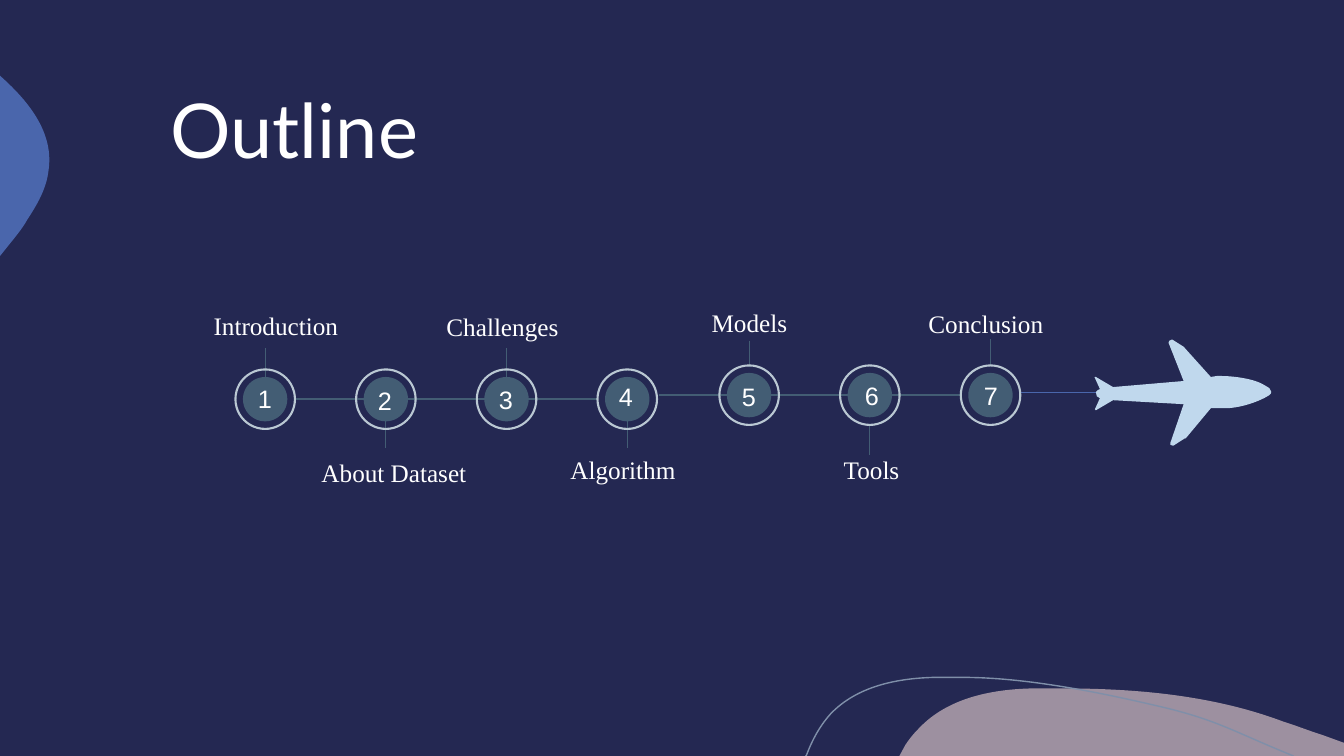
from lxml.etree import SubElement
from pptx import Presentation
from pptx.dml.color import RGBColor
from pptx.enum.shapes import MSO_CONNECTOR as CONNECTOR, MSO_SHAPE as SHAPE
from pptx.enum.text import MSO_ANCHOR as ANCHOR, PP_ALIGN as ALIGN
from pptx.oxml.ns import qn
from pptx.util import Inches, Pt

NAVY = RGBColor(0x24, 0x28, 0x52)
MAUVE = RGBColor(0x9D, 0x90, 0xA0)
BLUE = RGBColor(0x4A, 0x66, 0xAC)
GREY_BLUE = RGBColor(0x7F, 0x8F, 0xA9)
SLATE = RGBColor(0x43, 0x5D, 0x74)
SILVER = RGBColor(0xBA, 0xC8, 0xD3)
SKY = RGBColor(0xC0, 0xD8, 0xED)
WHITE = RGBColor(0xFF, 0xFF, 0xFF)

RING_SIZE, DISC_SIZE, STOP_GAP = 0.59, 0.44, 1.197

prs = Presentation()
prs.slide_width, prs.slide_height = Inches(13.33), Inches(7.5)
slide = prs.slides.add_slide(prs.slide_layouts[6])
slide.background.fill.solid()
slide.background.fill.fore_color.rgb = NAVY
shapes = slide.shapes


def trace(steps, fill=None):
    """Build an outline; a step of 2 numbers is a line end, one of 6 a cubic curve."""
    start, *rest = steps
    builder = shapes.build_freeform(Inches(start[0]), Inches(start[1]))
    builder.add_line_segments([(Inches(step[-2]), Inches(step[-1])) for step in rest],
                              close=fill is not None)
    outline = builder.convert_to_shape()
    outline.shadow.inherit = False
    segments = list(outline._element.iter(qn("a:lnTo")))
    for step, segment in zip(rest, segments):
        if len(step) == 6:
            segment.tag = qn("a:cubicBezTo")
            for i in (0, 2):
                control = SubElement(segment, qn("a:pt"))
                control.set("x", str(Inches(step[i]) - outline.left))
                control.set("y", str(Inches(step[i + 1]) - outline.top))
            segment.append(segment[0])  # the end point follows its two controls
    if fill is None:
        outline.fill.background()
    else:
        outline.fill.solid()
        outline.fill.fore_color.rgb = fill
        outline.line.fill.background()
    return outline


def add_text(text, left, top, width, height, **font_values):
    box = shapes.add_textbox(Inches(left), Inches(top), Inches(width), Inches(height))
    box.text_frame.word_wrap = True
    run = box.text_frame.paragraphs[0].add_run()
    run.text = text
    run.font.color.rgb = WHITE
    for key, value in font_values.items():
        setattr(run.font, key, value)
    return box.text_frame


# Background waves
hill = [(10.54, 6.83), (11.28, 6.83, 12.04, 6.9, 12.73, 7.16),
        (12.86, 7.2, 12.98, 7.25, 13.11, 7.29), (13.33, 7.37), (13.33, 7.5), (8.92, 7.5),
        (8.98, 7.39), (9.02, 7.33, 9.06, 7.28, 9.11, 7.23),
        (9.39, 6.93, 9.82, 6.84, 10.23, 6.83), (10.33, 6.83, 10.43, 6.83, 10.54, 6.83)]
bulge = [(0, 0.75), (0.01, 0.76), (0.3, 1.02, 0.54, 1.33, 0.48, 1.7),
         (0.46, 1.87, 0.37, 2.03, 0.27, 2.18), (0.24, 2.24, 0.17, 2.33, 0.08, 2.44), (0, 2.54)]
wave = [(7.99, 7.5), (8, 7.49), (8.06, 7.33, 8.14, 7.19, 8.24, 7.08),
        (8.5, 6.81, 8.89, 6.73, 9.26, 6.72), (9.55, 6.72),
        (10.22, 6.72, 11, 6.89, 11.55, 7.02), (12.09, 7.15, 12.26, 7.27, 12.83, 7.5)]
trace(hill, MAUVE)
trace(bulge, BLUE)
wave_line = trace(wave).line
wave_line.color.rgb = GREY_BLUE
wave_line.width = Pt(1)

title = add_text("Outline", 0.83, 1.23, 4.18, 0.55, name="Lato", size=Pt(54))
title.vertical_anchor = ANCHOR.BOTTOM
title.paragraphs[0].alignment = ALIGN.CENTER
title.paragraphs[0].line_spacing = 0.9

# Each row of stops: first centre x, centre y, and per stop
# label, its left, top and width, number's left and top, stalk's two heights
rows = [
    (2.63, 3.96, [("Introduction", 2.02, 3.03, 2, 2.46, 3.75, 3.74, 3.45),
                  ("About Dataset", 3.09, 4.49, 1.92, 3.65, 3.77, 4.18, 4.44),
                  ("Challenges", 4.33, 3.04, 1.67, 4.85, 3.76, 3.74, 3.45),
                  ("Algorithm", 5.56, 4.46, 1.67, 6.04, 3.73, 4.18, 4.44)]),
    (7.43, 3.92, [("Models", 6.96, 3, 1.67, 7.26, 3.73, 3.38, 3.64),
                  ("Tools", 8.27, 4.46, 0.84, 8.48, 3.72, 4.51, 4.22),
                  ("Conclusion", 9.11, 3.01, 1.52, 9.66, 3.72, 3.36, 3.62)]),
]

# Route and stalks, as x1, y1, x2, y2, colour, width
tracks = [(2.93, 3.96, 5.93, 3.96, SLATE, 1.5), (6.54, 3.92, 9.53, 3.92, SLATE, 1.5),
          (11.44, 3.89, 10.12, 3.89, BLUE, 0.75)]
for first_x, _, stops in rows:
    for i, stop in enumerate(stops):
        x = first_x + i * STOP_GAP
        tracks.append((x, stop[6], x, stop[7], SLATE, 0.75))
for x1, y1, x2, y2, colour, width in tracks:
    track = shapes.add_connector(CONNECTOR.STRAIGHT, Inches(x1), Inches(y1), Inches(x2), Inches(y2))
    track.line.color.rgb = colour
    track.line.width = Pt(width)
    SubElement(track._element.spPr, qn("a:effectLst"))

number = 0
for first_x, y, stops in rows:
    for i, (label, left, top, width, number_left, number_top, *_) in enumerate(stops):
        x = first_x + i * STOP_GAP
        number += 1
        ring, disc = (shapes.add_shape(SHAPE.OVAL, Inches(x - size / 2), Inches(y - size / 2),
                                       Inches(size), Inches(size))
                      for size in (RING_SIZE, DISC_SIZE))
        ring.shadow.inherit = disc.shadow.inherit = False
        ring.fill.background()
        ring.line.color.rgb = SILVER
        ring.line.width = Pt(1.5)
        disc.fill.solid()
        disc.fill.fore_color.rgb = SLATE
        disc.line.fill.background()
        add_text(label, left, top, width, 0.4, name="Times New Roman", size=Pt(18))
        add_text(str(number), number_left, number_top, 0.4, 0.4, name="Arial", size=Pt(18))

plane = [(11.62, 3.37), (11.6, 3.37, 11.59, 3.39, 11.59, 3.4), (11.74, 3.78), (11.04, 3.84),
         (10.87, 3.74), (10.86, 3.74), (10.86, 3.74, 10.85, 3.75, 10.86, 3.75),
         (10.91, 3.86), (10.89, 3.86, 10.88, 3.88, 10.87, 3.89),
         (10.87, 3.92, 10.88, 3.95, 10.91, 3.95), (10.86, 4.06),
         (10.86, 4.07, 10.86, 4.07, 10.87, 4.07), (11.04, 3.97), (11.74, 4.01), (11.61, 4.39),
         (11.6, 4.41, 11.61, 4.42, 11.63, 4.42), (11.64, 4.42), (11.75, 4.35), (11.76, 4.35),
         (12.01, 4.05), (12.15, 4.05), (12.29, 4.05, 12.48, 3.99, 12.59, 3.92),
         (12.62, 3.9, 12.61, 3.87, 12.59, 3.85), (12.54, 3.82),
         (12.45, 3.76, 12.24, 3.73, 12.11, 3.73), (12.07, 3.73), (12.01, 3.74),
         (11.74, 3.44), (11.63, 3.37)]
trace(plane, SKY)

prs.save("out.pptx")
